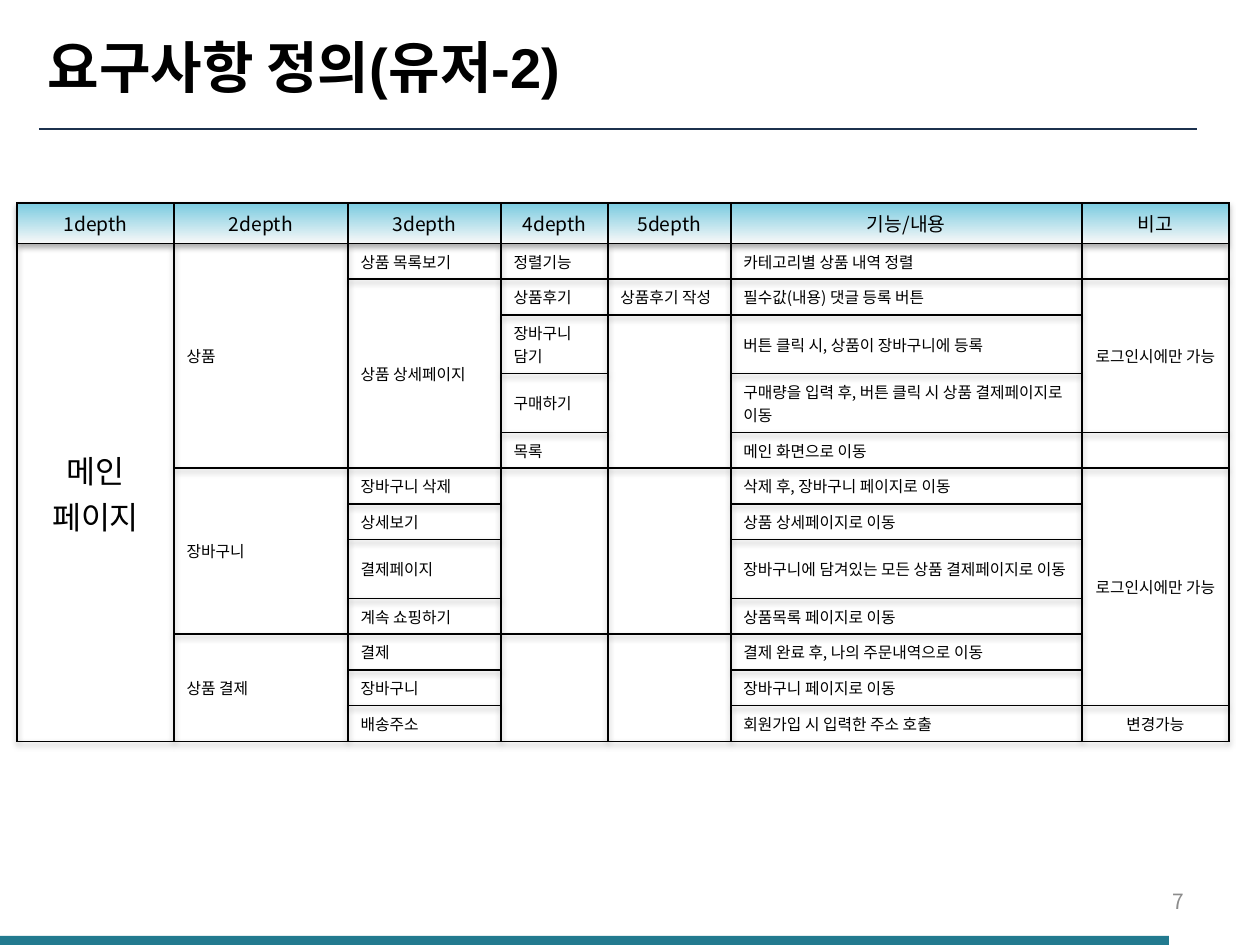
"""Build the user requirements definition slide."""
from dataclasses import dataclass
from itertools import pairwise

from lxml import etree
from pptx import Presentation
from pptx.dml.color import RGBColor
from pptx.enum.shapes import MSO_CONNECTOR, MSO_SHAPE
from pptx.enum.text import MSO_ANCHOR, PP_ALIGN
from pptx.oxml import parse_xml
from pptx.oxml.ns import nsdecls, qn
from pptx.util import Pt

LEFT, CENTER, RIGHT = PP_ALIGN.LEFT, PP_ALIGN.CENTER, PP_ALIGN.RIGHT
MIDDLE = MSO_ANCHOR.MIDDLE
RECTANGLE = MSO_SHAPE.RECTANGLE
STRAIGHT = MSO_CONNECTOR.STRAIGHT
PX_PER_INCH = 126
TITLE_ONLY = 5

COLUMN_EDGES = [17, 174, 348, 501, 608, 731, 1082, 1229]
ROW_EDGES = [203, 243, 278, 314, 372, 431, 466, 502, 537, 596, 631, 667, 702, 738]
HEADER = ["1depth", "2depth", "3depth", "4depth", "5depth", "기능/내용", "비고"]
# None continues the cell above.
BODY = [
    ["메인\n페이지", "상품", "상품 목록보기", "정렬기능", "", "카테고리별 상품 내역 정렬", ""],
    [None, None, "상품 상세페이지", "상품후기", "상품후기 작성",
     "필수값(내용) 댓글 등록 버튼", "로그인시에만 가능"],
    [None, None, None, "장바구니 담기", "", "버튼 클릭 시, 상품이 장바구니에 등록", None],
    [None, None, None, "구매하기", None,
     "구매량을 입력 후, 버튼 클릭 시 상품 결제페이지로 이동", None],
    [None, None, None, "목록", None, "메인 화면으로 이동", ""],
    [None, "장바구니", "장바구니 삭제", "", "", "삭제 후, 장바구니 페이지로 이동",
     "로그인시에만 가능"],
    [None, None, "상세보기", None, None, "상품 상세페이지로 이동", None],
    [None, None, "결제페이지", None, None,
     "장바구니에 담겨있는 모든 상품 결제페이지로 이동", None],
    [None, None, "계속 쇼핑하기", None, None, "상품목록 페이지로 이동", None],
    [None, "상품 결제", "결제", "", "", "결제 완료 후, 나의 주문내역으로 이동", None],
    [None, None, "장바구니", None, None, "장바구니 페이지로 이동", None],
    [None, None, "배송주소", None, None, "회원가입 시 입력한 주소 호출", "변경가능"],
]


@dataclass(frozen=True)
class Theme:
    title_font: str = "Arial"
    body_font: str = "Noto Sans CJK KR"
    ink: str = "000000"
    muted: str = "8C8C8C"
    rule: str = "1C314E"
    bar: str = "227A8F"
    header_top: str = "7ACBE0"
    header_bottom: str = "F8F8F8"
    title_size: int = 32
    section_size: int = 18
    number_size: int = 12
    header_size: int = 11
    cell_size: int = 9


def px(length):
    return round(length * 914400 / PX_PER_INCH)


class SlideBuilder:
    def __init__(self, deck, theme):
        self.theme = theme
        self.page = deck.slides.add_slide(deck.slide_layouts[TITLE_ONLY])

    def style(self, frame, size, align, color, font=None, bold=False):
        for para in frame.paragraphs:
            para.alignment = align
            para.font.size = Pt(size)
            para.font.bold = bold
            para.font.color.rgb = RGBColor.from_string(color)
            para.font.name = font or self.theme.body_font
            if not para.runs:
                etree.SubElement(para._p, qn("a:endParaRPr"), sz=str(size * 100))

    def title(self, text, left, top, width, height):
        box = self.page.shapes.title
        box.left, box.top, box.width, box.height = map(px, (left, top, width, height))
        frame = box.text_frame
        frame.text = text
        frame.vertical_anchor = MIDDLE
        self.style(frame, self.theme.title_size, LEFT, self.theme.ink,
                   self.theme.title_font, True)

    def text(self, text, left, top, width, height, size, align, color):
        box = self.page.shapes.add_textbox(*map(px, (left, top, width, height)))
        frame = box.text_frame
        frame.word_wrap = True
        frame.vertical_anchor = MIDDLE
        frame.text = text
        self.style(frame, size, align, color)

    def bar(self, left, top, width, height):
        shape = self.page.shapes.add_shape(
            RECTANGLE, *map(px, (left, top, width, height)))
        shape.shadow.inherit = False
        shape.fill.solid()
        shape.fill.fore_color.rgb = RGBColor.from_string(self.theme.bar)
        shape.line.fill.background()

    def rule(self, left, right, y):
        line = self.page.shapes.add_connector(
            STRAIGHT, *map(px, (left, y, right, y)))
        line.line.color.rgb = RGBColor.from_string(self.theme.rule)
        line.line.width = Pt(1.5)
        etree.SubElement(line._element.spPr, qn("a:effectLst"))

    def borders(self, cell):
        properties = cell._tc.get_or_add_tcPr()
        for index, side in enumerate(("lnL", "lnR", "lnT", "lnB")):
            properties.insert(index, parse_xml(
                f'<a:{side} {nsdecls("a")} w="12700"><a:solidFill>'
                f'<a:srgbClr val="{self.theme.ink}"/></a:solidFill></a:{side}>'))

    def header_fill(self, cell):
        cell.fill.gradient()
        cell.fill.gradient_angle = 270
        colors = (self.theme.header_top, self.theme.header_bottom)
        for stop, color in zip(cell.fill.gradient_stops, colors):
            stop.color.rgb = RGBColor.from_string(color)

    def table_shadow(self, table):
        table._tbl.tblPr.insert(0, parse_xml(
            f'<a:effectLst {nsdecls("a")}><a:outerShdw blurRad="40000" dist="23000"'
            ' dir="5400000" rotWithShape="0"><a:srgbClr val="000000">'
            '<a:alpha val="35000"/></a:srgbClr></a:outerShdw></a:effectLst>'))

    def table(self, rows, column_edges, row_edges):
        left, right = column_edges[0], column_edges[-1]
        top, bottom = row_edges[0], row_edges[-1]
        table = self.page.shapes.add_table(
            len(rows), len(rows[0]),
            *map(px, (left, top, right - left, bottom - top))).table
        table.first_row = table.horz_banding = False
        self.table_shadow(table)
        for column, (start, end) in zip(table.columns, pairwise(column_edges)):
            column.width = px(end - start)
        for row, (start, end) in zip(table.rows, pairwise(row_edges)):
            row.height = px(end - start)
        for r, row in enumerate(rows):
            for c, text in enumerate(row):
                self.cell(table.cell(r, c), text or "", r == 0, c)
        for c, column in enumerate(zip(*rows)):
            starts = [r for r, text in enumerate(column) if text is not None]
            for start, end in pairwise(starts + [len(rows)]):
                if end - start > 1:
                    table.cell(start, c).merge(table.cell(end - 1, c))

    def cell(self, cell, text, is_header, column):
        theme = self.theme
        size, align = theme.cell_size, LEFT
        if is_header:
            size, align = theme.header_size, CENTER
            self.header_fill(cell)
        else:
            cell.fill.background()
            if column == 0:
                size = theme.section_size if text else theme.cell_size
            if column in (0, len(HEADER) - 1):
                align = CENTER
        cell.text = text
        cell.vertical_anchor = MIDDLE
        self.style(cell.text_frame, size, align, theme.ink)
        self.borders(cell)


def main():
    deck = Presentation()
    deck.slide_width, deck.slide_height = px(1260), px(945)
    theme = Theme()
    builder = SlideBuilder(deck, theme)
    builder.bar(-1, 936, 1170, 10)
    builder.rule(39, 1197, 129)
    builder.title("요구사항 정의(유저-2)", 35, 5, 1176, 122)
    builder.table([HEADER] + BODY, COLUMN_EDGES, ROW_EDGES)
    builder.text("7", 903, 876, 294, 50, theme.number_size, RIGHT, theme.muted)
    deck.save("out.pptx")


if __name__ == "__main__":
    main()
